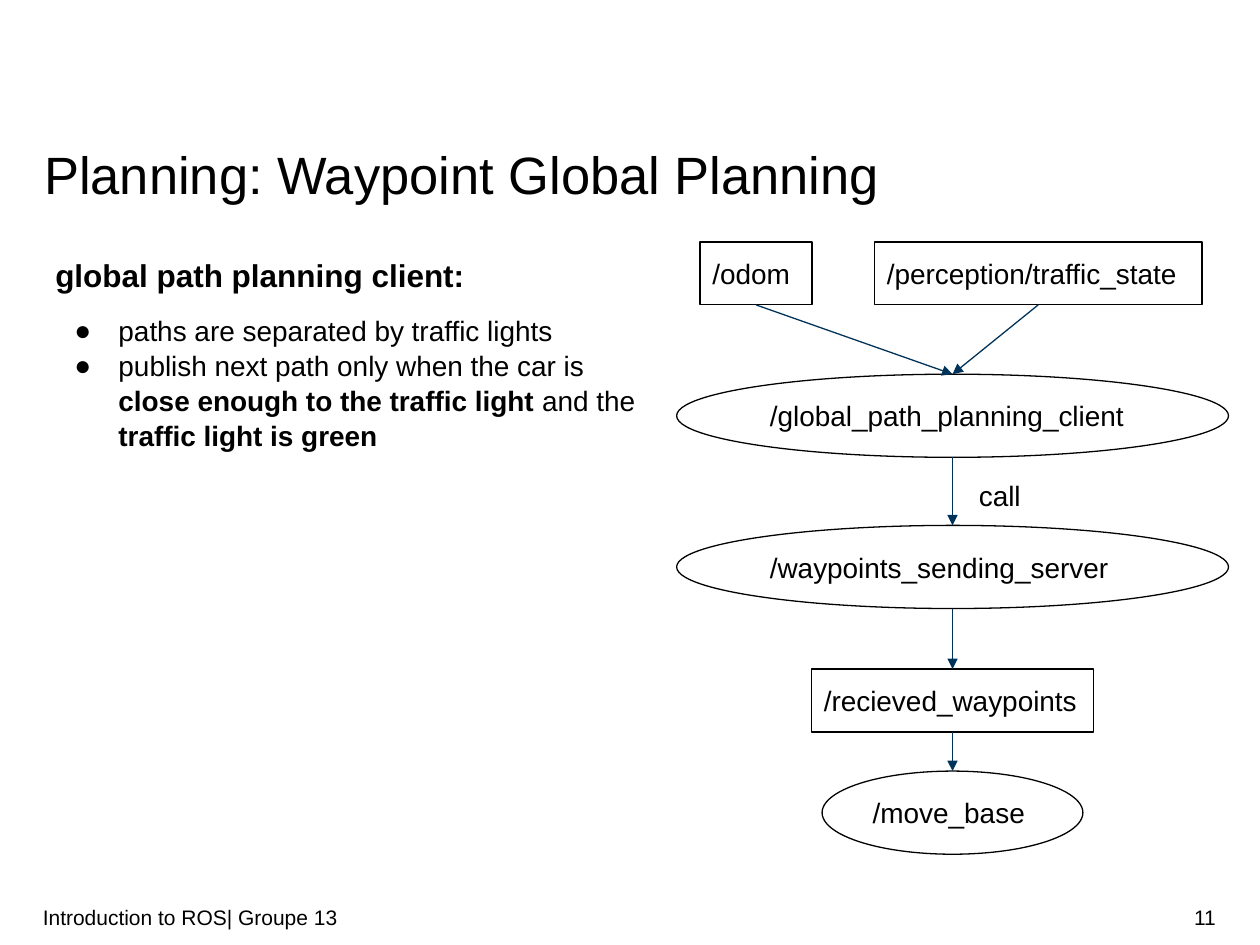
from lxml import etree
from pptx import Presentation
from pptx.dml.color import RGBColor
from pptx.enum.shapes import MSO_CONNECTOR, MSO_SHAPE
from pptx.enum.text import MSO_ANCHOR, MSO_AUTO_SIZE, PP_ALIGN
from pptx.oxml.ns import qn
from pptx.util import Inches, Pt

RECT, OVAL = MSO_SHAPE.RECTANGLE, MSO_SHAPE.OVAL
STRAIGHT = MSO_CONNECTOR.STRAIGHT
TOP, MIDDLE = MSO_ANCHOR.TOP, MSO_ANCHOR.MIDDLE
LEFT, RIGHT = PP_ALIGN.LEFT, PP_ALIGN.RIGHT
FIXED = MSO_AUTO_SIZE.NONE
BLACK = RGBColor(0x00, 0x00, 0x00)
WHITE = RGBColor(0xFF, 0xFF, 0xFF)
NAVY = RGBColor(0x00, 0x33, 0x59)


def apply(target, values):
    for name, value in values.items():
        setattr(target, name, value)


class Deck:
    font = "Arial"
    size = 16
    line = Pt(0.75)

    def __init__(self, prs):
        self.slide = prs.slides.add_slide(prs.slide_layouts[1])
        self.shapes = self.slide.shapes

    def place(self, shape, box):
        names = ("left", "top", "width", "height")
        apply(shape, dict(zip(names, map(Inches, box))))

    def frame(self, shape, pad=(0.1, 0.1), anchor=TOP):
        across, down = map(Inches, pad)
        apply(shape.text_frame, {
            "word_wrap": True, "auto_size": FIXED,
            "vertical_anchor": anchor,
            "margin_left": across, "margin_right": across,
            "margin_top": down, "margin_bottom": down})
        return shape.text_frame

    def letter(self, para, runs, size=None, align=LEFT, spacing=1.0):
        """Fill a paragraph with (text, bold) runs."""
        apply(para, {"alignment": align, "line_spacing": spacing,
                     "space_before": Pt(0)})
        for text, bold in runs:
            run = para.add_run()
            run.text = text
            apply(run.font, {"name": self.font, "bold": bold,
                             "size": Pt(size or self.size)})
            run.font.color.rgb = BLACK

    def title(self, text, box):
        shape = self.shapes.title
        self.place(shape, box)
        frame = self.frame(shape, (0, 0))
        self.letter(frame.paragraphs[0], [(text, False)], 30, spacing=1.07)

    def bullets(self, items, box):
        shape = self.slide.placeholders[1]
        self.place(shape, box)
        frame = self.frame(shape, (0, 0.05))
        for i, runs in enumerate(items):
            para = frame.add_paragraph() if i else frame.paragraphs[0]
            props = para._p.get_or_add_pPr()
            props.set("marL", str(Inches(0.5)))
            props.set("indent", str(Inches(-0.35)))
            tint = etree.SubElement(props, qn("a:buClr"))
            etree.SubElement(tint, qn("a:srgbClr"), val=str(BLACK))
            etree.SubElement(props, qn("a:buFont"), typeface=self.font)
            etree.SubElement(props, qn("a:buChar"), char="●")
            self.letter(para, runs, spacing=1.04)

    def text(self, text, box, size=None, bold=False, align=LEFT,
             pad=(0.1, 0.1), anchor=TOP):
        shape = self.shapes.add_textbox(*map(Inches, box))
        frame = self.frame(shape, pad, anchor)
        self.letter(frame.paragraphs[0], [(text, bold)], size, align)

    def node(self, kind, text, mid, top, width):
        """Add a graph node centred on mid: topics are boxes, nodes ovals."""
        height = 0.5 if kind == RECT else 0.66
        box = (mid - width / 2, top, width, height)
        shape = self.shapes.add_shape(kind, *map(Inches, box))
        shape.shadow.inherit = False
        shape.fill.solid()
        shape.fill.fore_color.rgb = WHITE
        shape.line.color.rgb = BLACK
        shape.line.width = self.line
        frame = self.frame(shape, anchor=MIDDLE)
        self.letter(frame.paragraphs[0], [(text, False)])
        return shape

    def arrow(self, start, end):
        """Point from the bottom of one node to the top of another."""
        link = self.shapes.add_connector(
            STRAIGHT,
            start.left + start.width // 2, start.top + start.height,
            end.left + end.width // 2, end.top)
        if start.auto_shape_type == RECT:
            link.begin_connect(start, 2)
        if end.auto_shape_type == RECT:
            link.end_connect(end, 0)
        link.line.color.rgb = NAVY
        link.line.width = self.line
        props = link._element.spPr
        etree.SubElement(props.find(qn("a:ln")), qn("a:tailEnd"),
                         type="triangle")
        etree.SubElement(props, qn("a:effectLst"))


def main():
    prs = Presentation()
    prs.slide_width, prs.slide_height = Inches(10), Inches(7.5)
    deck = Deck(prs)

    deck.title("Planning: Waypoint Global Planning", (0.35, 1.09, 9.31, 0.5))
    deck.text("global path planning client:", (0.34, 1.93, 4.18, 0.5),
              size=18, bold=True)
    deck.bullets([
        [("paths are separated by traffic lights", False)],
        [("publish next path only when the car is ", False),
         ("close enough to the traffic light ", True),
         ("and the ", False),
         ("traffic light is green", True)],
    ], (0.44, 2.43, 4.64, 4.35))

    axis = 7.56
    odom = deck.node(RECT, "/odom", 6, 1.92, 0.89)
    state = deck.node(RECT, "/perception/traffic_state", 8.24, 1.92, 2.6)
    client = deck.node(OVAL, "/global_path_planning_client", axis, 2.97, 4.38)
    server = deck.node(OVAL, "/waypoints_sending_server", axis, 4.17, 4.38)
    points = deck.node(RECT, "/recieved_waypoints", axis, 5.31, 2.24)
    base = deck.node(OVAL, "/move_base", axis, 6.12, 2.07)
    for start, end in ((odom, client), (state, client), (client, server),
                       (server, points), (points, base)):
        deck.arrow(start, end)
    deck.text("call", (7.67, 3.7, 1.38, 0.4))

    foot = {"size": 12, "pad": (0, 0.05), "anchor": MIDDLE}
    deck.text("Introduction to ROS| Groupe 13", (0.34, 7.08, 7.07, 0.4),
              **foot)
    deck.text("11", (7.41, 7.08, 2.24, 0.4), align=RIGHT, **foot)

    prs.save("out.pptx")


if __name__ == "__main__":
    main()
